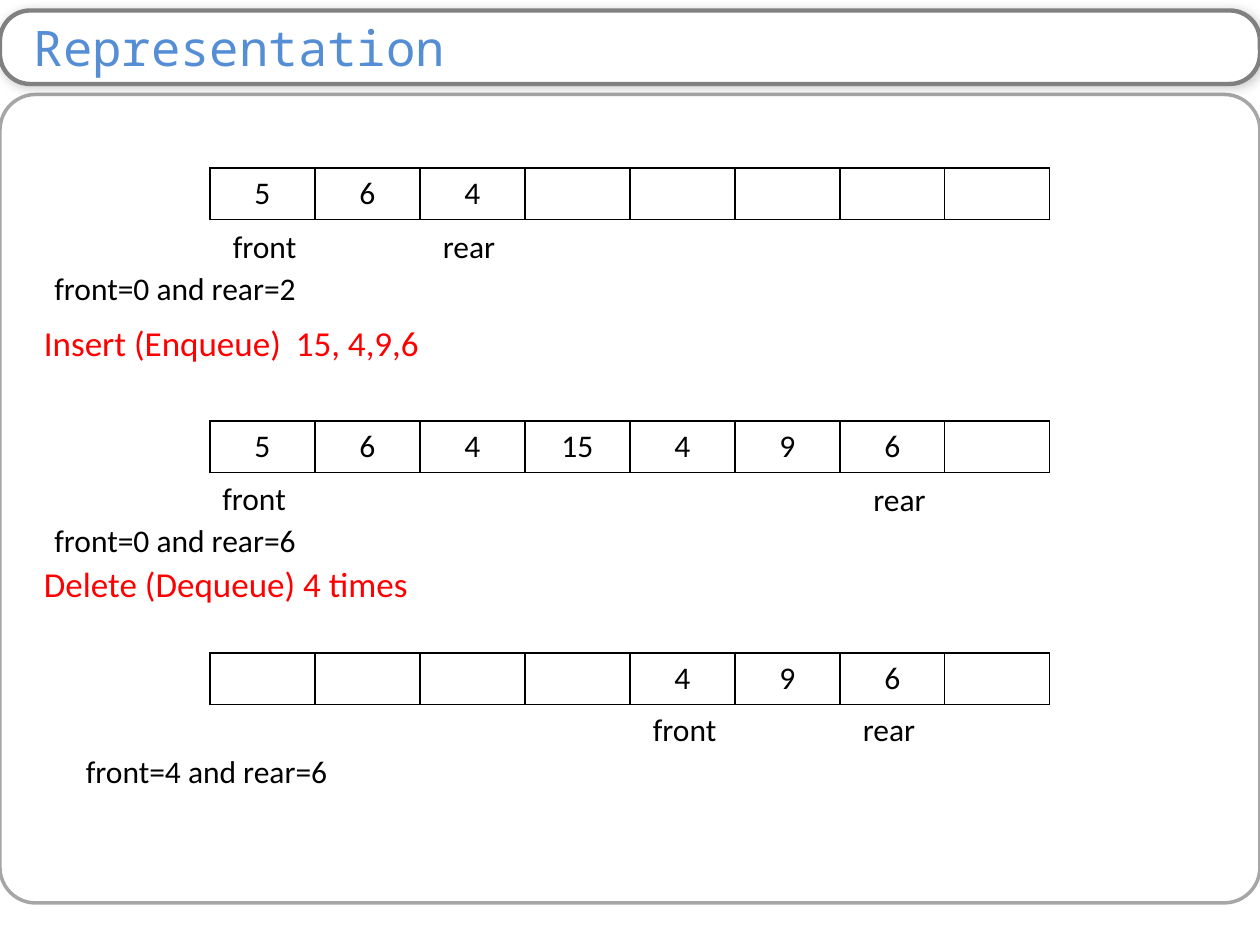
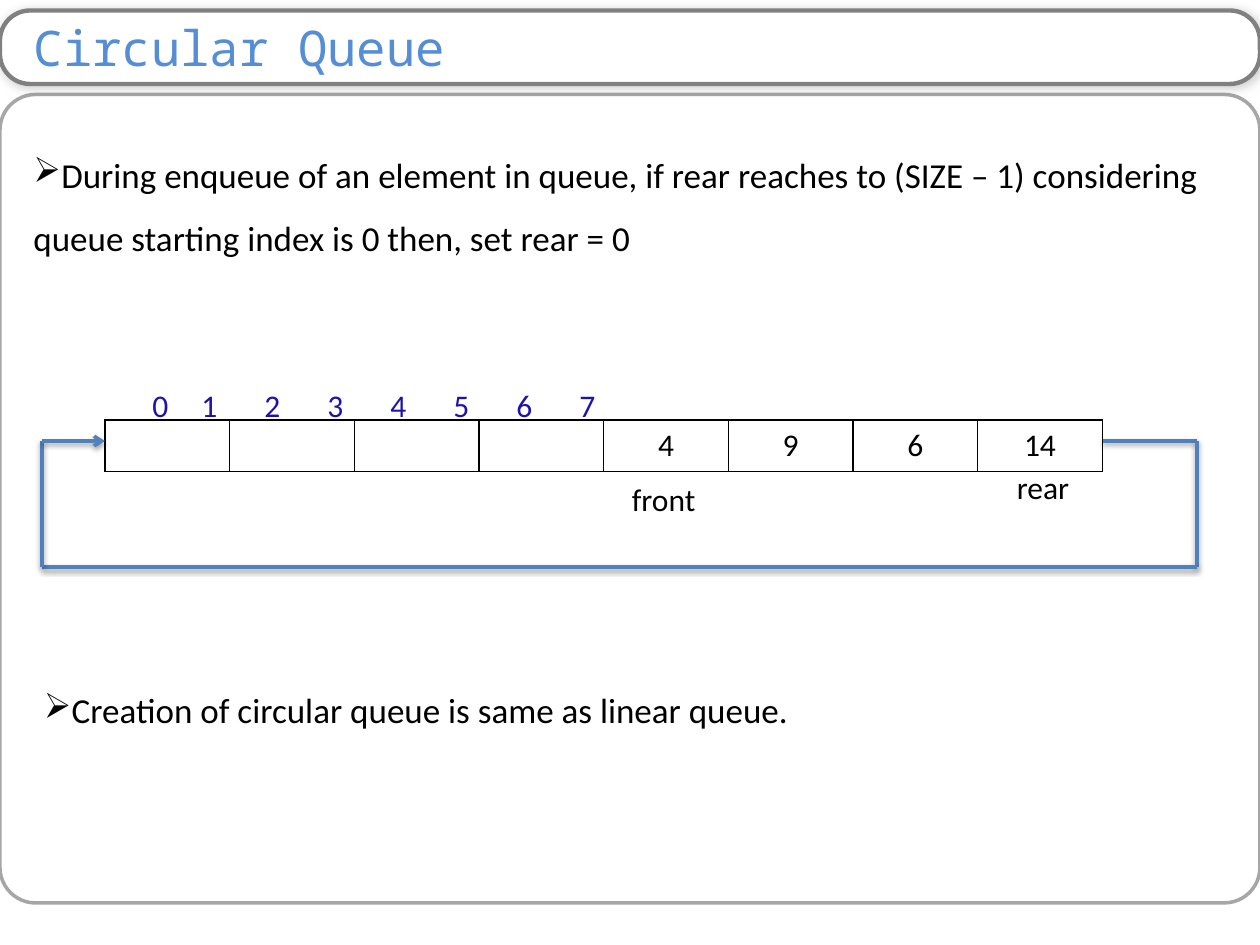
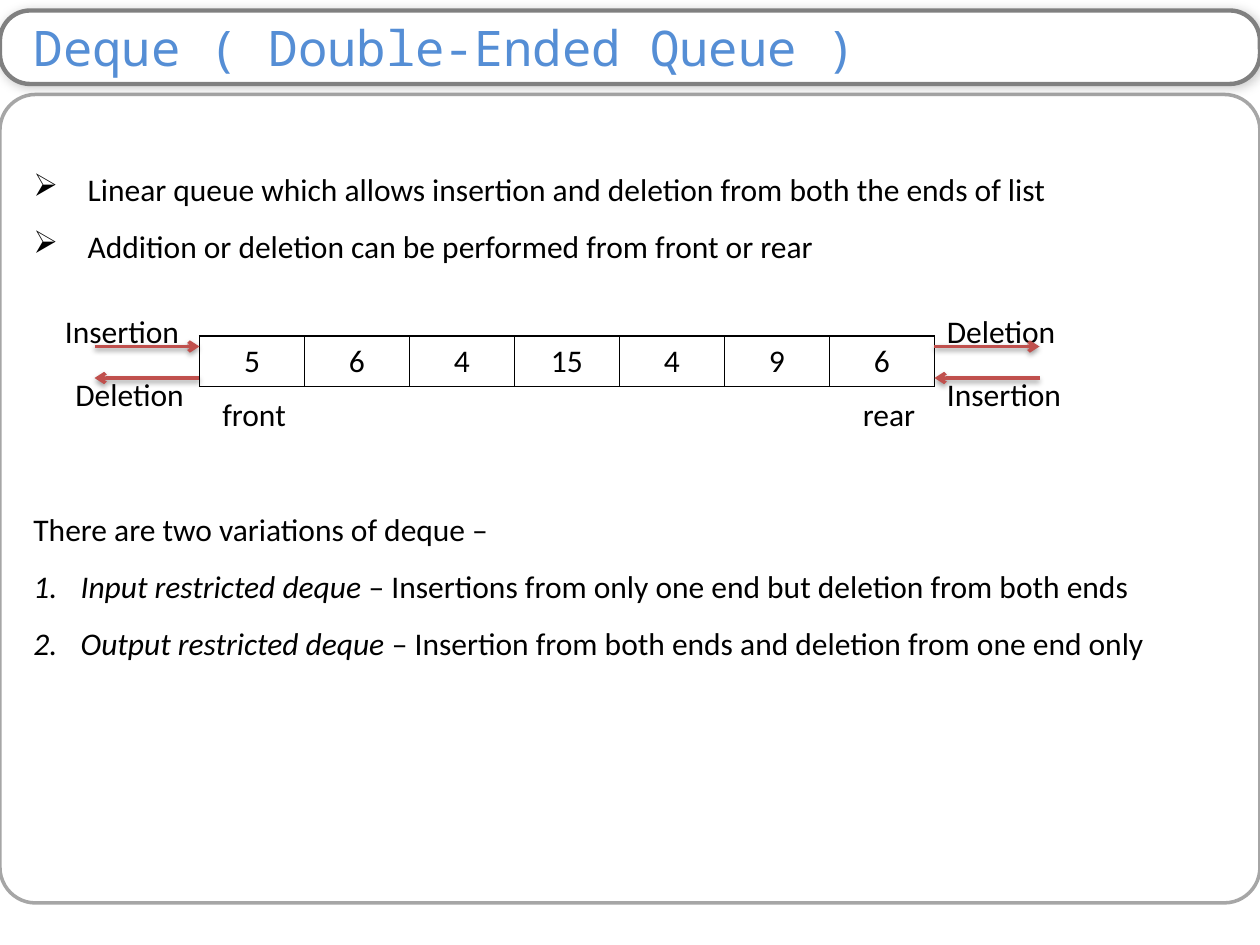
from lxml import etree
from pptx import Presentation
from pptx.dml.color import RGBColor
from pptx.enum import shapes, text
from pptx.oxml.ns import qn
from pptx.util import Pt

BODY_FONT, TITLE_FONT = "Calibri", "Noto Sans Mono"
BLACK, WHITE, RED = "000000", "FFFFFF", "FF0000"
TITLE_BLUE, INDEX_BLUE = "558ED5", "1D12AE"
TITLE_EDGE, PANEL_EDGE = "808080", "A6A6A6"
LOOP_BLUE, ARROW_RED = "4F81BD", "C0504D"
# shadows: opacity %, blur, distance, direction in degrees
TITLE_SHADOW, LINE_SHADOW = (20, 6, 1, 45), (38, 3.1, 1.6, 90)
LABEL_HEIGHT = 29

# queues: left, top, cell width, row height, values
# labels: text, left, top, width, then optional paragraph settings
# paths: from, to, has an arrowhead
SLIDES = [
    {
        "title": "Representation",
        "queues": [
            (120, 96, 60, 29.5, ["5", "6", "4", "", "", "", "", ""]),
            (120, 240.5, 60, 29.5, ["5", "6", "4", "15", "4", "9", "6", ""]),
            (120, 373, 60, 29.5, ["", "", "", "", "4", "9", "6", ""]),
        ],
        "labels": [
            ("front", 126, 126, 66),
            ("rear", 246, 126, 66),
            ("front=0 and rear=2", 24, 150, 160.5),
            ("Insert (Enqueue)\t15, 4,9,6", 18, 180, 342,
             {"size": 20, "color": RED, "tab": 149}),
            ("front", 120, 270, 66),
            ("rear", 492, 270.5, 66),
            ("front=0 and rear=6", 24, 294, 160.5),
            ("Delete (Dequeue) 4 times", 18, 318, 342, {"size": 20, "color": RED}),
            ("front", 366, 402, 66),
            ("rear", 486, 402, 66),
            ("front=4 and rear=6", 42, 426, 160.5),
        ],
    },
    {
        "title": "Circular Queue",
        "labels": [
            ("During enqueue of an element in queue, if rear reaches to (SIZE – 1) "
             "considering queue starting index is 0 then, set rear = 0",
             12, 72, 696, {"size": 20, "spacing": 1.5, "bullet": "➢"}),
            ("front", 354, 270.5, 54),
            ("rear", 574, 264, 54),
            ("0\t1\t2\t3\t4\t5\t6\t7", 72, 217, 546,
             {"color": INDEX_BLUE, "indent": 8}),
            ("Creation of circular queue is same as linear queue.",
             18, 390, 654, {"size": 20, "bullet": "➢"}),
        ],
        "queues": [(60, 240, 71.25, 29.5, ["", "", "", "", "4", "9", "6", "14"])],
        "loop": [
            ((630, 252), (684, 252), False),
            ((684, 252), (684, 324), False),
            ((684, 324), (24, 324), False),
            ((24, 252), (24, 324), False),
            ((24, 252), (60, 252), True),
        ],
    },
    {
        "title": "Deque ( Double-Ended Queue\u00a0)",
        "body": [
            ("Linear queue which allows insertion and deletion from both the ends of list",
             {"bullet": "➢", "margin": 31, "indent": -31}),
            ("Addition or deletion can be performed from front or rear",
             {"bullet": "➢", "margin": 31, "indent": -31}),
            ("There are two variations of deque –", {"before": 129.5}),
            ("Input restricted deque – Insertions from only one end but deletion "
             "from both ends",
             {"bullet": "1.", "margin": 27, "indent": -27, "term": "Input restricted deque "}),
            ("Output restricted deque – Insertion from both ends and deletion "
             "from one end only",
             {"bullet": "1.", "margin": 27, "indent": -27, "term": "Output restricted deque "}),
        ],
        "queues": [(114, 192, 60, 29, ["5", "6", "4", "15", "4", "9", "6"])],
        "labels": [
            ("front", 120, 222, 66),
            ("rear", 486, 222, 66),
            ("Insertion", 30, 175, 84),
            ("Deletion", 534, 175, 84),
            ("Insertion", 534, 211, 84),
            ("Deletion", 36, 211, 84),
        ],
        "arrows": [
            ((54, 198), (114, 198), True),
            ((534, 198), (594, 198), True),
            ((114, 216), (54, 216), True),
            ((594, 216), (534, 216), True),
        ],
    },
]


def rgb(color):
    """Turn a hex string into a colour."""
    return RGBColor.from_string(color)


def node(parent, tag, **attributes):
    """Append a drawing element to a parent."""
    return etree.SubElement(parent, qn(f"a:{tag}"), attributes)


def style_run(run, size, color, font=BODY_FONT):
    """Set size, colour and font of a run."""
    run.font.size, run.font.name = Pt(size), font
    run.font.color.rgb = rgb(color)


def add_shadow(shape, opacity, blur, distance, direction):
    """Give an outlined shape an outer shadow."""
    effects = node(shape.element.spPr, "effectLst")
    outer = node(effects, "outerShdw", blurRad=str(Pt(blur)), dist=str(Pt(distance)),
                 dir=str(direction * 60000), rotWithShape="0")
    node(node(outer, "srgbClr", val=BLACK), "alpha", val=str(opacity * 1000))


def add_round_box(slide, top, height, roundness, edge, weight):
    """Draw a rounded frame across the whole slide."""
    box = slide.shapes.add_shape(shapes.MSO_SHAPE.ROUNDED_RECTANGLE,
                                 0, Pt(top), Pt(720), Pt(height))
    box.adjustments[0] = roundness
    box.fill.background()
    box.line.color.rgb, box.line.width = rgb(edge), Pt(weight)
    return box


def add_frame(slide, title):
    """Draw the content panel and the title band."""
    panel = add_round_box(slide, 54, 462, 0.044, PANEL_EDGE, 2)
    panel.shadow.inherit = False
    band = add_round_box(slide, 6, 42, 0.409, TITLE_EDGE, 2.5)
    band.fill.solid()
    band.fill.fore_color.rgb = rgb(WHITE)
    add_shadow(band, *TITLE_SHADOW)
    frame = band.text_frame
    frame.text, frame.word_wrap = title, True
    frame.vertical_anchor = text.MSO_ANCHOR.MIDDLE
    frame.margin_left, frame.margin_right = Pt(14.4), Pt(7.2)
    frame.margin_top = frame.margin_bottom = 0
    heading = frame.paragraphs[0]
    heading.alignment = text.PP_ALIGN.LEFT
    style_run(heading.runs[0], 28, TITLE_BLUE, TITLE_FONT)


def write_paragraph(paragraph, words, size=18, color=BLACK, spacing=None, before=None,
                    bullet=None, margin=0, indent=0, tab=None, term=""):
    """Fill a paragraph; a leading term is set in italics."""
    paragraph.text = term or words
    if term:
        paragraph.runs[0].font.italic = True
        paragraph.add_run().text = words[len(term):]
    for run in paragraph.runs:
        style_run(run, size, color)
    if spacing:
        paragraph.line_spacing = spacing
    if before:
        paragraph.space_before = Pt(before)
    properties = paragraph._p.get_or_add_pPr()
    properties.set("marL", str(Pt(margin)))
    properties.set("indent", str(Pt(indent)))
    if bullet == "1.":
        node(properties, "buAutoNum", type="arabicPeriod")
    elif bullet:
        node(properties, "buChar", char=bullet)
    if tab:
        node(node(properties, "tabLst"), "tab", pos=str(Pt(tab)), algn="l")


def add_text(slide, left, top, width, height, paragraphs):
    """Add a wrapping text box holding (words, settings) paragraphs."""
    frame = slide.shapes.add_textbox(Pt(left), Pt(top), Pt(width), Pt(height)).text_frame
    frame.word_wrap = True
    for number, (words, settings) in enumerate(paragraphs):
        paragraph = frame.add_paragraph() if number else frame.paragraphs[0]
        write_paragraph(paragraph, words, **settings)


def add_label(slide, words, left, top, width, settings=None):
    """Add a text box with one paragraph."""
    add_text(slide, left, top, width, LABEL_HEIGHT, [(words, settings or {})])


def add_queue(slide, left, top, cell_width, height, values):
    """Draw a queue as a one-row table with black borders."""
    table = slide.shapes.add_table(1, len(values), Pt(left), Pt(top),
                                   Pt(cell_width * len(values)), Pt(height)).table
    table.first_row = table.horz_banding = False
    for column, value in enumerate(values):
        table.columns[column].width = Pt(cell_width)
        cell = table.cell(0, column)
        for side in ("lnL", "lnR", "lnT", "lnB"):
            border = node(cell._tc.get_or_add_tcPr(), side, w=str(Pt(1)))
            node(node(border, "solidFill"), "srgbClr", val=BLACK)
        cell.fill.background()
        if value:
            write_paragraph(cell.text_frame.paragraphs[0], value)
            cell.text_frame.paragraphs[0].alignment = text.PP_ALIGN.CENTER


def add_path(container, start, end, has_head, color):
    """Draw a shadowed line, with an arrowhead at its end if wanted."""
    line = container.add_connector(shapes.MSO_CONNECTOR.STRAIGHT,
                                   *(Pt(value) for value in start + end))
    line.line.color.rgb, line.line.width = rgb(color), Pt(2)
    if has_head:
        node(line.element.spPr.find(qn("a:ln")), "tailEnd", type="arrow")
    add_shadow(line, *LINE_SHADOW)


def build_slide(deck, content):
    """Build one slide from its content."""
    slide = deck.slides.add_slide(deck.slide_layouts[6])
    add_frame(slide, content["title"])
    if "body" in content:
        add_text(slide, 12, 83, 696, 367,
                 [(words, {"spacing": 1.5, **settings}) for words, settings in content["body"]])
    for queue in content["queues"]:
        add_queue(slide, *queue)
    for label in content["labels"]:
        add_label(slide, *label)
    if "loop" in content:
        loop = slide.shapes.add_group_shape()
        for path in content["loop"]:
            add_path(loop.shapes, *path, LOOP_BLUE)
    for path in content.get("arrows", []):
        add_path(slide.shapes, *path, ARROW_RED)


def main():
    """Build the presentation and save it."""
    deck = Presentation()
    deck.slide_width, deck.slide_height = Pt(720), Pt(540)
    for content in SLIDES:
        build_slide(deck, content)
    deck.save("out.pptx")


main()
